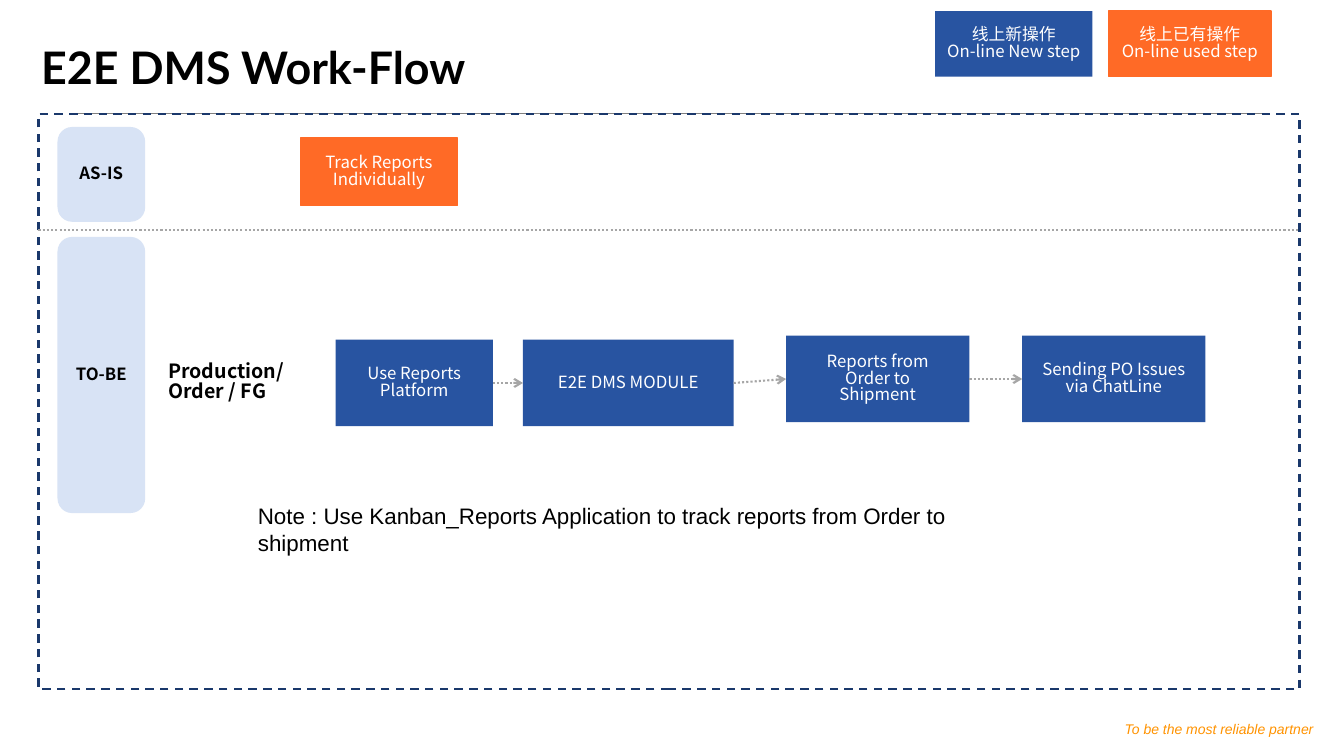
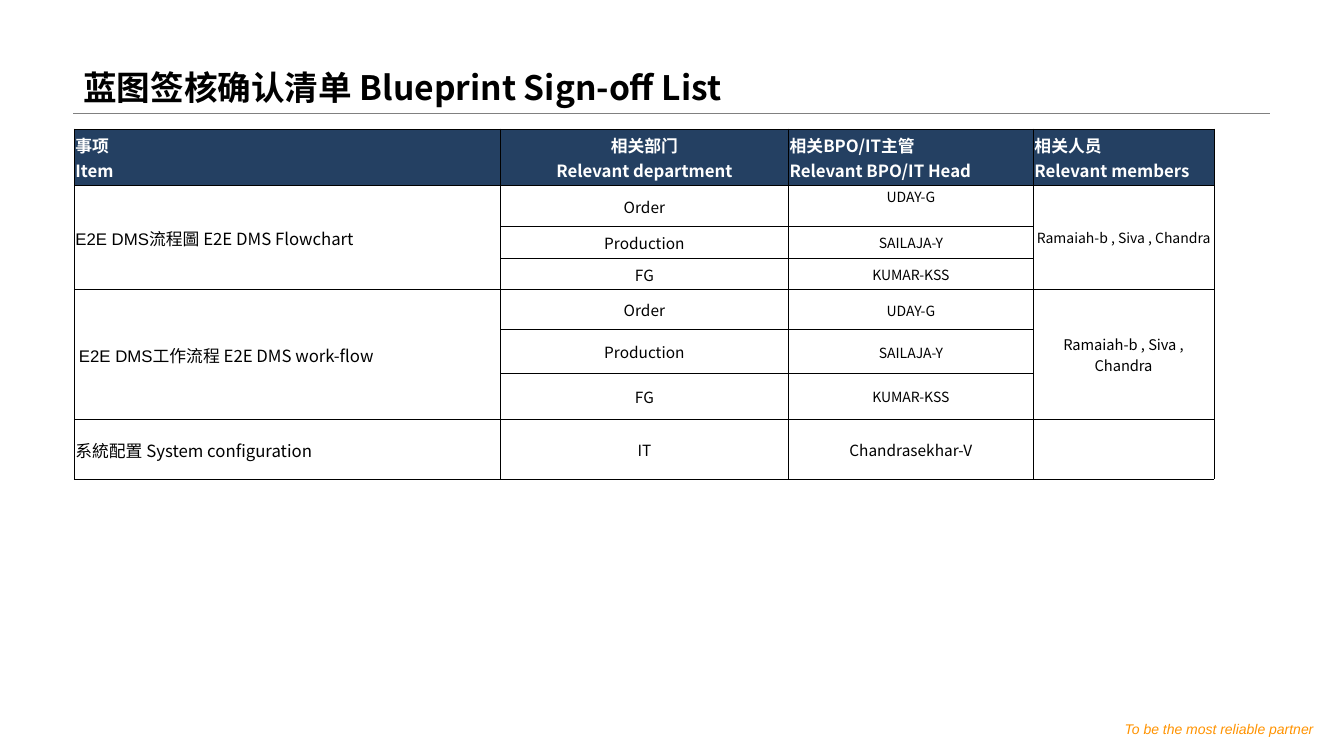
from lxml import etree
from pptx import Presentation, util as u
from pptx.dml.color import RGBColor
from pptx.enum import dml, shapes, text
from pptx.oxml.ns import qn

COLORS = {
    "ink": "000000", "white": "FFFFFF", "new": "2854A1", "used": "FF6A26",
    "label": "D8E3F5", "frame": "1A386B", "arrow": "A6A6A6", "rule": "808080",
    "motto": "FF9300", "header": "244062",
}
SANS, ARIAL, LATO = "Noto Sans CJK SC", "Arial", "Lato"
LEFT, CENTER = text.PP_ALIGN.LEFT, text.PP_ALIGN.CENTER
TOP, MIDDLE, BOTTOM = (text.MSO_ANCHOR.TOP, text.MSO_ANCHOR.MIDDLE,
                       text.MSO_ANCHOR.BOTTOM)
RECT = shapes.MSO_SHAPE.RECTANGLE
ROUNDED = shapes.MSO_SHAPE.ROUNDED_RECTANGLE
RIGHT_SIDE, LEFT_SIDE = 3, 1
TIGHT = 0.84


def rgb(name):
    return RGBColor.from_string(COLORS[name])


def lengths(*values):
    return [u.Cm(value) for value in values]


def write(frame, content, size=12, font=SANS, color="ink", bold=False,
          italic=False, align=LEFT, spacing=None):
    """Fill a text frame from a string (one paragraph a line) or (text, font) runs."""
    lines = content.split("\n") if isinstance(content, str) else [content]
    for index, line in enumerate(lines):
        paragraph = frame.add_paragraph() if index else frame.paragraphs[0]
        paragraph.alignment = align
        if spacing:
            paragraph.line_spacing = spacing
        runs = [(line, font)] if isinstance(line, str) else line
        for words, face in runs:
            run = paragraph.add_run()
            run.text = words
            run.font.size = u.Pt(size)
            run.font.bold, run.font.italic = bold, italic
            run.font.color.rgb = rgb(color)
            run.font.name = face
            east_asian = etree.SubElement(run._r.get_or_add_rPr(), qn("a:ea"))
            east_asian.set("typeface", SANS)


def add_text(slide, box, content, anchor=TOP, wrap=True, inset=None, **style):
    frame = slide.shapes.add_textbox(*lengths(*box)).text_frame
    frame.word_wrap, frame.vertical_anchor = wrap, anchor
    if inset is not None:
        frame.margin_left = frame.margin_right = u.Cm(inset)
        frame.margin_top = frame.margin_bottom = u.Cm(inset)
    write(frame, content, **style)


def add_block(slide, box, content="", fill=None, outline=None, width=1,
              dash=None, preset=RECT, **style):
    block = slide.shapes.add_shape(preset, *lengths(*box))
    block.shadow.inherit = False
    if fill:
        block.fill.solid()
        block.fill.fore_color.rgb = rgb(fill)
    else:
        block.fill.background()
    if outline:
        block.line.color.rgb = rgb(outline)
        block.line.width = u.Pt(width)
        block.line.dash_style = dash
    else:
        block.line.fill.background()
    if content:
        block.text_frame.word_wrap = True
        block.text_frame.vertical_anchor = MIDDLE
        write(block.text_frame, content, align=CENTER, spacing=TIGHT, **style)
    return block


def add_step(slide, box, content, status="new"):
    return add_block(slide, box, content, fill=status, color="white",
                     outline="used" if status == "used" else None)


def add_lane_label(slide, box, content):
    add_block(slide, box, content, fill="label", preset=ROUNDED, bold=True)


def add_line(slide, ends, color, width, dash=None):
    line = slide.shapes.add_connector(shapes.MSO_CONNECTOR.STRAIGHT,
                                      *lengths(*ends))
    line.line.color.rgb = rgb(color)
    line.line.width = u.Pt(width)
    line.line.dash_style = dash
    etree.SubElement(line._element.spPr, qn("a:effectLst"))
    return line


def add_arrow(slide, source, target):
    arrow = add_line(slide, (0, 0, 0, 0), "arrow", 1.5,
                     dml.MSO_LINE.ROUND_DOT)
    arrow.begin_connect(source, RIGHT_SIDE)
    arrow.end_connect(target, LEFT_SIDE)
    head = etree.SubElement(arrow.line._get_or_add_ln(), qn("a:tailEnd"))
    head.set("type", "arrow")


def start_slide(deck, title, box, **style):
    """Add a slide with the shared rule, motto and title."""
    slide = deck.slides.add_slide(deck.slide_layouts[6])
    add_line(slide, (1.85, 2.84, 32, 2.84), "rule", 0.25)
    add_text(slide, (28.14, 17.98, 5.16, 0.76), "To be the most reliable partner",
             wrap=False, inset=0.18, size=10, font=ARIAL, color="motto",
             italic=True, align=CENTER)
    add_text(slide, box, title, anchor=BOTTOM, bold=True, spacing=0.9, **style)
    return slide


def add_legend(slide, left, top):
    add_step(slide, (left, top, 3.96, 1.65), "线上新操作\nOn-line New step")
    add_step(slide, (left + 4.37, top, 4.09, 1.65),
             "线上已有操作\nOn-line used step", "used")


def add_as_is_lane(slide, left, top):
    add_lane_label(slide, (left + 0.48, top + 0.33, 2.21, 2.39), "AS-IS")
    add_step(slide, (left + 6.6, top + 0.61, 3.96, 1.7),
             "Track Reports Individually", "used")


def add_to_be_lane(slide, left, top):
    add_lane_label(slide, (left + 0.48, top + 0.18, 2.21, 6.96), "TO-BE")
    add_text(slide, (left + 3.02, top + 3.23, 3.53, 1.45),
             "Production/\nOrder / FG", wrap=False, size=14, bold=True,
             spacing=TIGHT)
    steps = [
        add_step(slide, (left + x, top + y, width, 2.18), content)
        for x, y, width, content in (
            (7.49, 2.77, 3.96, "Use Reports Platform"),
            (12.21, 2.77, 5.31, "E2E DMS MODULE"),
            (18.84, 2.67, 4.62, "Reports from\nOrder to\nShipment"),
            (24.79, 2.67, 4.62, "Sending PO Issues via ChatLine"),
        )
    ]
    for source, target in zip(steps, steps[1:]):
        add_arrow(slide, source, target)
    add_text(slide, (left + 5.28, top + 6.73, 19.48, 1.63),
             "Note : Use Kanban_Reports Application to track reports "
             "from Order to shipment", size=16, font=ARIAL)


def add_lanes(slide, left, top, width, height):
    divider = top + 2.92
    add_block(slide, (left, top, width, height), outline="frame", width=1.5,
              dash=dml.MSO_LINE.DASH)
    add_line(slide, (left, divider, left + width, divider), "arrow", 1.5,
             dml.MSO_LINE.ROUND_DOT)
    add_as_is_lane(slide, left, top)
    add_to_be_lane(slide, left, divider)


def format_cell(cell, fill=None, anchor=MIDDLE, indent=0.03):
    cell.margin_left = u.Cm(indent)
    cell.margin_right = cell.margin_top = u.Cm(0.03)
    cell.margin_bottom = 0
    cell.vertical_anchor = anchor
    properties = cell._tc.get_or_add_tcPr()
    for side in ("lnL", "lnR", "lnT", "lnB"):
        border = etree.SubElement(properties, qn("a:" + side), w=str(u.Pt(0.5)))
        paint = etree.SubElement(border, qn("a:solidFill"))
        etree.SubElement(paint, qn("a:srgbClr"), val=COLORS["ink"])
    if fill:
        cell.fill.solid()
        cell.fill.fore_color.rgb = rgb(fill)
    else:
        cell.fill.background()


def add_sign_off_table(slide, left, top):
    headings = ("事项\nItem", "相关部门\nRelevant department",
                "相关BPO/IT主管\nRelevant BPO/IT Head",
                "相关人员\nRelevant members")
    flowchart = [("E2E DMS流程圖 ", ARIAL), ("E2E DMS Flowchart", SANS)]
    work_flow = [("E2E DMS工作流程 ", ARIAL), ("E2E DMS work-flow", SANS)]
    system = [("系統配置 ", ARIAL), ("System configuration", SANS)]
    members = "Ramaiah-b , Siva , Chandra"
    entries = (
        (flowchart, "Order", "UDAY-G", members),
        ("", "Production", "SAILAJA-Y", ""),
        ("", "FG", "KUMAR-KSS", ""),
        (work_flow, "Order", "UDAY-G", members),
        ("", "Production", "SAILAJA-Y", ""),
        ("", "FG", "KUMAR-KSS", ""),
        (system, "IT", "Chandrasekhar-V", ""),
    )
    widths = (10.74, 7.26, 6.17, 4.55)
    heights = (1.42, 1.04, 0.79, 0.79, 1.02, 1.09, 1.17, 1.5)
    table = slide.shapes.add_table(
        len(heights), len(widths),
        *lengths(left, top, sum(widths), sum(heights))).table
    table.first_row = table.horz_banding = False
    for column, width in zip(table.columns, widths):
        column.width = u.Cm(width)
    for row, height in zip(table.rows, heights):
        row.height = u.Cm(height)

    for column, heading in enumerate(headings):
        cell = table.cell(0, column)
        format_cell(cell, fill="header")
        write(cell.text_frame, heading, color="white", bold=True,
              align=CENTER if column == 1 else LEFT)

    for row, entry in enumerate(entries, 1):
        sizes = (12, 11, 11 if entry[0] is system else 10,
                 10.5 if entry[0] is work_flow else 10)
        for column, (content, size) in enumerate(zip(entry, sizes)):
            cell = table.cell(row, column)
            format_cell(cell, anchor=TOP if (row, column) == (1, 2) else MIDDLE,
                        indent=0.12 if content is work_flow else 0.03)
            write(cell.text_frame, content, size=size,
                  align=CENTER if column else LEFT)
    for first in (1, 4):
        for column in (0, 3):
            table.cell(first, column).merge(table.cell(first + 2, column))


def build_work_flow(deck):
    slide = start_slide(deck, "E2E DMS Work-Flow", (0.79, -0.33, 31.04, 2.84),
                        size=32, font=LATO)
    add_legend(slide, 23.57, 0.28)
    add_lanes(slide, 0.97, 2.87, 31.78, 14.5)


def build_sign_off(deck):
    slide = start_slide(deck, "蓝图签核确认清单 Blueprint Sign-off List",
                        (1.85, 0, 30.15, 2.84), size=24)
    add_sign_off_table(slide, 1.87, 3.25)


def main():
    deck = Presentation()
    deck.slide_width, deck.slide_height = lengths(33.87, 19.05)
    build_work_flow(deck)
    build_sign_off(deck)
    deck.save("out.pptx")


if __name__ == "__main__":
    main()
